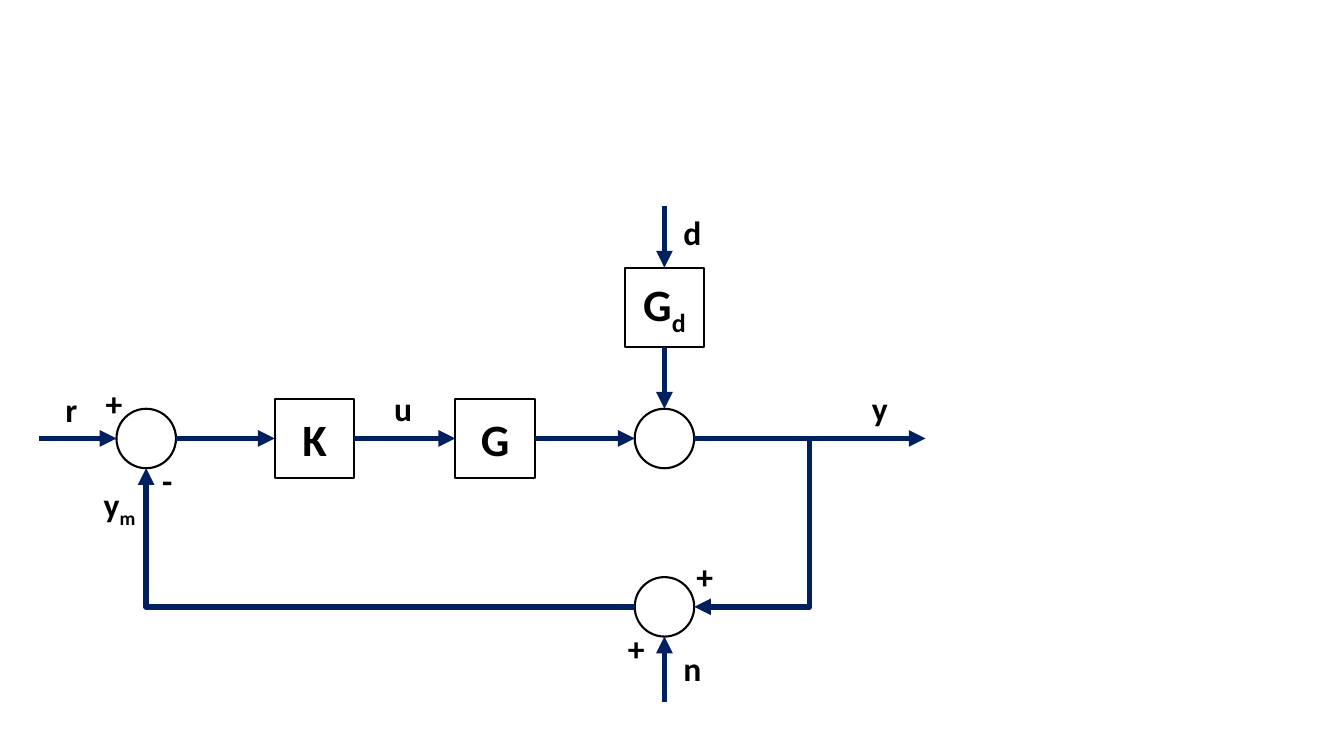
from pptx import Presentation
from pptx.dml.color import RGBColor
from pptx.enum import shapes, text
from pptx.oxml import parse_xml
from pptx.oxml.ns import nsdecls
from pptx.util import Inches, Pt

BLACK = RGBColor(0, 0, 0)
WHITE = RGBColor(255, 255, 255)
NAVY = RGBColor(0x00, 0x20, 0x60)
FONT = "Calibri"
BLOCK, SUM = 0.79, 0.59  # sides of a block and of a summing circle


def write(frame, size, name, sub=""):
    """Write a bold signal or block name with an optional subscript."""
    para = frame.paragraphs[0]
    for part, base in ((name, None), (sub, "-25000")):
        if part:
            run = para.add_run()
            run.text = part
            font = run.font
            font.name, font.size, font.bold = FONT, Pt(size), True
            font.color.rgb = BLACK
            if base:
                run._r.get_or_add_rPr().set("baseline", base)
    return para


def node(slide, kind, x, y, side, *name):
    """Draw a white outlined shape centred on x, y."""
    shape = slide.shapes.add_shape(
        kind, Inches(x - side / 2), Inches(y - side / 2), Inches(side), Inches(side))
    shape.shadow.inherit = False
    shape.fill.solid()
    shape.fill.fore_color.rgb = WHITE
    shape.line.color.rgb = BLACK
    shape.line.width = Pt(1.5)
    if name:
        frame = shape.text_frame
        frame.vertical_anchor = text.MSO_ANCHOR.MIDDLE
        write(frame, 32, *name).alignment = text.PP_ALIGN.CENTER


def arrow(slide, x1, y1, x2, y2, kind=shapes.MSO_CONNECTOR.STRAIGHT):
    """Draw a navy arrow from the first point to the second."""
    line = slide.shapes.add_connector(
        kind, Inches(x1), Inches(y1), Inches(x2), Inches(y2))
    line.line.color.rgb = NAVY
    line.line.width = Pt(4)
    line.line._get_or_add_ln().append(
        parse_xml(f'<a:tailEnd {nsdecls("a")} type="triangle"/>'))
    props = line._element.spPr
    props.append(parse_xml(f'<a:effectLst {nsdecls("a")}/>'))
    return props


def bend(slide, x1, y1, x2, y2, down=False):
    """Draw a one-corner arrow: across first, or down and then left."""
    if down:
        x, y = (x1 + x2) / 2, (y1 + y2) / 2
        w, h = (y2 - y1) / 2, (x1 - x2) / 2
        x1, y1, x2, y2 = x - w, y - h, x + w, y + h
    props = arrow(slide, x1, y1, x2, y2, shapes.MSO_CONNECTOR.ELBOW)
    props.prstGeom.set("prst", "bentConnector2")
    if down:
        props.xfrm.set("rot", "5400000")


def label(slide, x, y, name, sub=""):
    """Place a signal name or sign with its box corner at x, y."""
    box = slide.shapes.add_textbox(
        Inches(x), Inches(y), Inches(0.61 if sub else 0.4), Inches(0.5))
    frame = box.text_frame
    frame.word_wrap = True
    frame.auto_size = text.MSO_AUTO_SIZE.SHAPE_TO_FIT_TEXT
    write(frame, 24, name, sub)


def diagram(slide, left, top, width, height):
    """Draw the feedback loop inside the given box."""
    right, foot = left + width, top + height
    row, back, dist = top + 2.31, top + 3.98, top + 1.01
    err, ctrl, plant, out = (left + dx for dx in (1.06, 2.73, 4.52, 6.2))
    tap = left + 7.64
    b, s = BLOCK / 2, SUM / 2

    for x, y, *name in ((ctrl, row, "K"), (plant, row, "G"), (out, dist, "G", "d")):
        node(slide, shapes.MSO_SHAPE.RECTANGLE, x, y, BLOCK, *name)
    for x, y in ((out, row), (out, back), (err, row)):
        node(slide, shapes.MSO_SHAPE.OVAL, x, y, SUM)

    stops = ((left, 0), (err, s), (ctrl, b), (plant, b), (out, s), (right, 0))
    for (x1, r1), (x2, r2) in zip(stops, stops[1:]):
        arrow(slide, x1 + r1, row, x2 - r2, row)
    for y1, y2 in ((top, dist - b), (dist + b, row - s), (foot, back + s)):
        arrow(slide, out, y1, out, y2)
    bend(slide, tap, row, out + s, back, down=True)
    bend(slide, out - s, back, err, row + s)

    for dx, dy, *name in (
            (0.16, 1.77, "r"), (3.42, 1.76, "u"), (6.29, 0.01, "d"),
            (6.29, 4.34, "n"), (8.16, 1.76, "y"), (0.54, 2.71, "y", "m"),
            (0.56, 1.71, "+"), (5.74, 4.14, "+"), (6.42, 3.43, "+"),
            (1.12, 2.47, "-")):
        label(slide, left + dx, top + dy, *name)


deck = Presentation()
deck.slide_width, deck.slide_height = Inches(13.33), Inches(7.5)
page = deck.slides.add_slide(deck.slide_layouts[6])
diagram(page, 0.39, 2.04, 8.79, 4.92)
deck.save("out.pptx")
